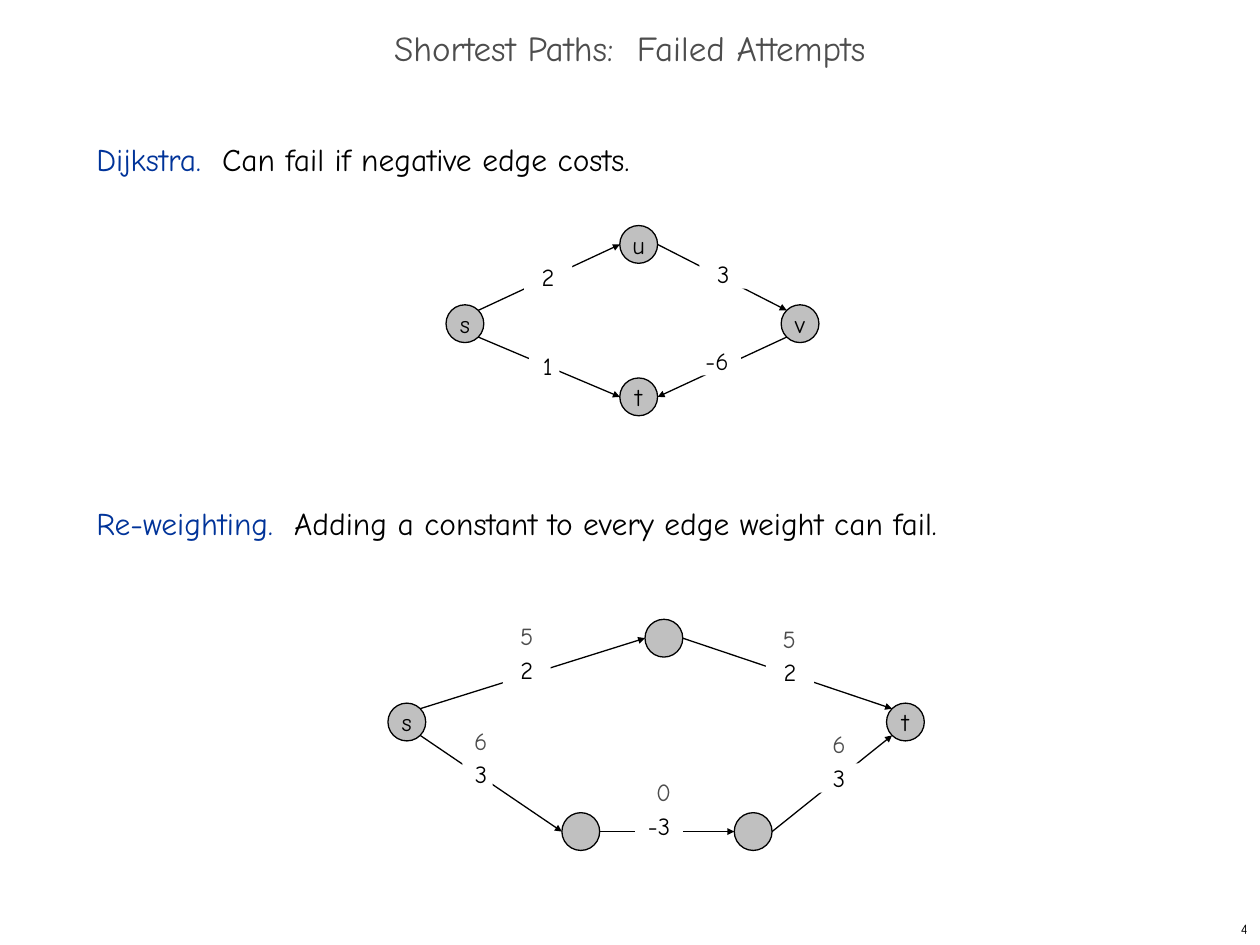
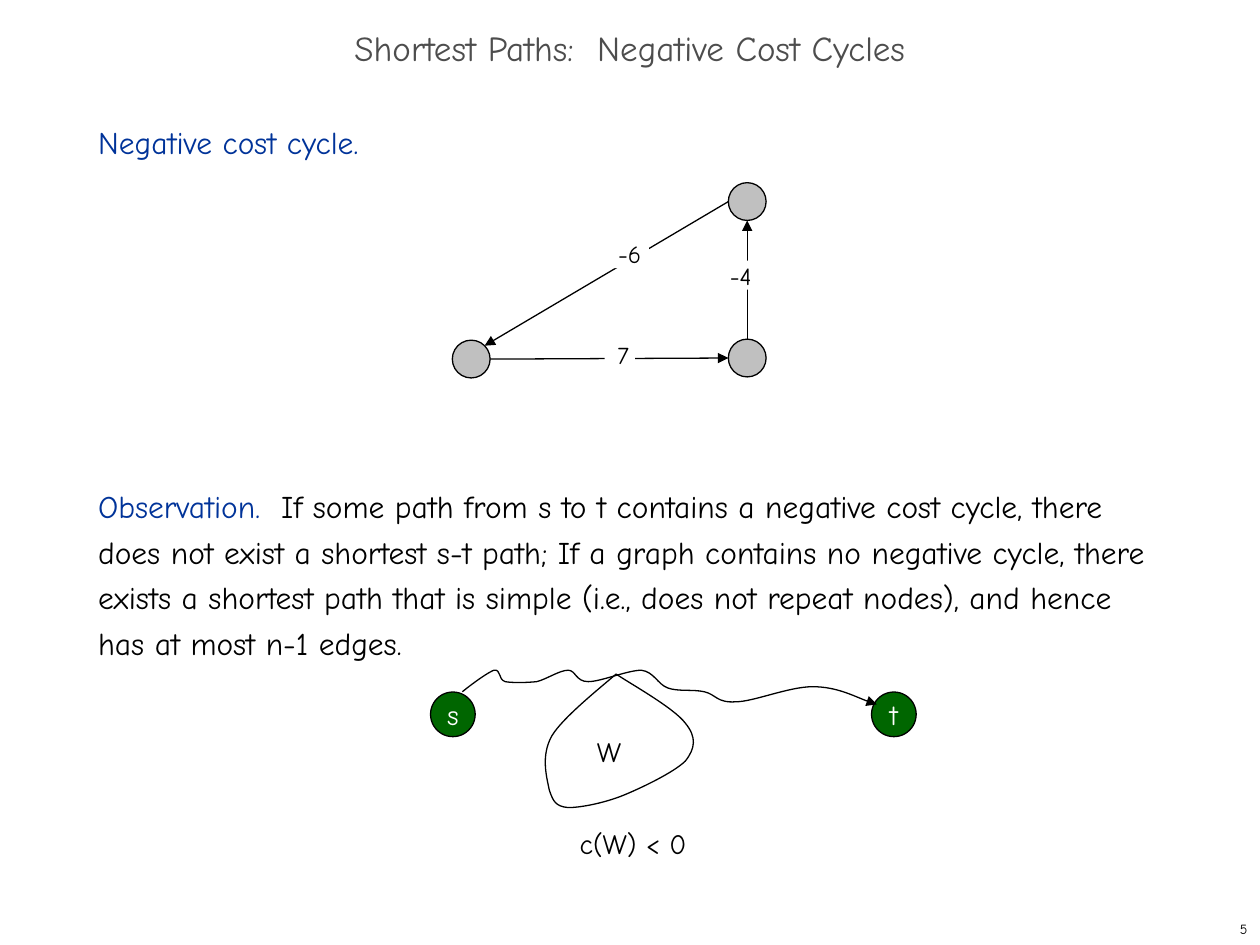
from dataclasses import dataclass
from math import cos, radians, sin

from lxml import etree
from pptx import Presentation
from pptx.dml.color import RGBColor
from pptx.enum.shapes import MSO_CONNECTOR, MSO_SHAPE
from pptx.enum.text import MSO_ANCHOR, PP_ALIGN
from pptx.oxml.ns import qn
from pptx.util import Pt

OVAL, RECT = MSO_SHAPE.OVAL, MSO_SHAPE.RECTANGLE
STRAIGHT = MSO_CONNECTOR.STRAIGHT
LEFT, CENTER, RIGHT = PP_ALIGN.LEFT, PP_ALIGN.CENTER, PP_ALIGN.RIGHT
TOP, MIDDLE = MSO_ANCHOR.TOP, MSO_ANCHOR.MIDDLE


@dataclass(frozen=True)
class Theme:
    font: str = "Comic Neue"
    ink: RGBColor = RGBColor(0, 0, 0)
    white: RGBColor = RGBColor(255, 255, 255)
    gray: RGBColor = RGBColor(0x4D, 0x4D, 0x4D)
    silver: RGBColor = RGBColor(0xC0, 0xC0, 0xC0)
    blue: RGBColor = RGBColor(0, 0x33, 0x99)
    green: RGBColor = RGBColor(0, 0x66, 0)
    title: float = 20
    body: float = 18
    note: float = 16
    label: float = 14
    page: float = 8
    line: float = 0.75
    lead: float = 26


THEME = Theme()
WIDE, HIGH = 720, 540
COMPASS = {"E": 0, "SE": 45, "S": 90, "SW": 135,
           "W": 180, "NW": 225, "N": 270, "NE": 315}


@dataclass(frozen=True)
class Node:
    x: float
    y: float
    text: str = ""
    size: float = 21.6
    fill: RGBColor = THEME.silver
    ink: RGBColor = THEME.ink
    type: float = THEME.label

    def port(self, side: str) -> tuple[float, float]:
        """Point on the rim in a compass direction."""
        turn = radians(COMPASS[side])
        return (self.x + self.size / 2 * cos(turn),
                self.y + self.size / 2 * sin(turn))


@dataclass(frozen=True)
class Edge:
    start: Node
    out: str
    end: Node
    into: str


@dataclass(frozen=True)
class Cost:
    """Edge cost on a white patch; nudge moves it off centre."""
    text: str
    x: float
    y: float
    width: float = 27.4
    nudge: float = 0


@dataclass(frozen=True)
class Note:
    text: str
    x: float
    y: float
    size: float = THEME.label
    ink: RGBColor = THEME.gray


@dataclass(frozen=True)
class Point:
    """Body statement with a blue lead-in."""
    head: str
    text: str
    top: float


def style(para, size: float, ink: RGBColor, align=CENTER) -> None:
    para.alignment = align
    para.font.name, para.font.size = THEME.font, Pt(size)
    para.font.color.rgb = ink


def box(slide, left: float, top: float, width: float, height: float,
        anchor=MIDDLE):
    frame = slide.shapes.add_textbox(
        Pt(left), Pt(top), Pt(width), Pt(height)).text_frame
    frame.word_wrap = True
    frame.vertical_anchor = anchor
    return frame.paragraphs[0]


def disc(slide, kind, x: float, y: float, width: float, height: float,
         fill: RGBColor):
    """Filled preset shape centred on a point."""
    shape = slide.shapes.add_shape(kind, Pt(x - width / 2), Pt(y - height / 2),
                                   Pt(width), Pt(height))
    shape.shadow.inherit = False
    shape.fill.solid()
    shape.fill.fore_color.rgb = fill
    shape.line.fill.background()
    frame = shape.text_frame
    frame.margin_left = frame.margin_right = 0
    frame.margin_top = frame.margin_bottom = 0
    frame.vertical_anchor = MIDDLE
    return shape


def stroke(shape) -> None:
    shape.line.color.rgb = THEME.ink
    shape.line.width = Pt(THEME.line)


def arrow(shape, size: str = "med") -> None:
    stroke(shape)
    etree.SubElement(shape.line._get_or_add_ln(), qn("a:tailEnd"),
                     type="triangle", w=size, len=size)


def draw_node(slide, node: Node) -> None:
    shape = disc(slide, OVAL, node.x, node.y, node.size, node.size, node.fill)
    stroke(shape)
    if node.text:
        shape.text_frame.word_wrap = False
        para = shape.text_frame.paragraphs[0]
        para.text = node.text
        style(para, node.type, node.ink)


def draw_edge(slide, edge: Edge, size: str) -> None:
    ends = (*edge.start.port(edge.out), *edge.end.port(edge.into))
    line = slide.shapes.add_connector(STRAIGHT, *map(Pt, ends))
    arrow(line, size)
    etree.SubElement(line._element.spPr, qn("a:effectLst"))


def draw_cost(slide, cost: Cost) -> None:
    shape = disc(slide, RECT, cost.x, cost.y, cost.width, 16.6, THEME.white)
    shape.text_frame.margin_left = Pt(cost.nudge)
    para = shape.text_frame.paragraphs[0]
    para.text = cost.text
    style(para, THEME.label, THEME.ink)


def draw_note(slide, note: Note) -> None:
    width, height = 100, 26
    para = box(slide, note.x - width / 2, note.y - height / 2, width, height)
    para.text = note.text
    style(para, note.size, note.ink)


def draw_point(slide, point: Point, left: float) -> None:
    para = box(slide, left, point.top, 618, 120, TOP)
    style(para, THEME.body, THEME.ink, LEFT)
    para.line_spacing = Pt(THEME.lead)
    for text, ink in ((point.head, THEME.blue), (point.text, THEME.ink)):
        if text:
            run = para.add_run()
            run.text = text
            run.font.color.rgb = ink


def draw_curve(slide, dots: list[tuple[float, float]]) -> None:
    """Arrow along Bézier pieces: a start, then three points for each piece."""
    first, *rest = [(Pt(x), Pt(y)) for x, y in dots]
    pen = slide.shapes.build_freeform(*first)
    pen.add_line_segments(rest, close=False)
    shape = pen.convert_to_shape()
    shape.shadow.inherit = False
    shape.fill.background()
    arrow(shape)
    track = shape._element.find(".//" + qn("a:path"))
    steps = track.findall(qn("a:lnTo"))
    for i in range(0, len(steps), 3):
        bend = etree.SubElement(track, qn("a:cubicBezTo"))
        for step in steps[i:i + 3]:
            bend.append(step[0])
            track.remove(step)


def draw_graph(slide, nodes: list[Node], edges: list[Edge],
               costs: list[Cost], size: str) -> None:
    for node in nodes:
        draw_node(slide, node)
    for edge in edges:
        draw_edge(slide, edge, size)
    for cost in costs:
        draw_cost(slide, cost)


def add_slide(deck, title: str, page: int):
    slide = deck.slides.add_slide(deck.slide_layouts[6])
    head = box(slide, 0, 12, WIDE, 36)
    head.text = title
    head.line_spacing = 0.7
    style(head, THEME.title, THEME.gray)
    foot = box(slide, 570, 522, 150, 18)
    foot.text = str(page)
    style(foot, THEME.page, THEME.ink, RIGHT)
    return slide


def failed(deck) -> None:
    slide = add_slide(deck, "Shortest Paths:  Failed Attempts", 4)
    top = 72
    for point in (
        Point("Dijkstra.  ", "Can fail if negative edge costs.", top),
        Point("Re-weighting.  ",
              "Adding a constant to every edge weight can fail.",
              top + 8 * THEME.lead),
    ):
        draw_point(slide, point, 48)

    s, v = Node(265.7, 185, "s"), Node(457.2, 185, "v")
    u, t = Node(365, 139.7, "u"), Node(365, 226.8, "t")
    draw_graph(
        slide, [u, t, s, v],
        [Edge(s, "NE", u, "W"), Edge(s, "SE", t, "W"),
         Edge(u, "E", v, "NW"), Edge(v, "SW", t, "E")],
        [Cost("2", 313.2, 158), Cost("1", 311, 209.2, 17.3, 4),
         Cost("3", 413.3, 156.6), Cost("-6", 409.7, 206.3)], "sm")

    s, t = Node(232.5, 412.6, "s"), Node(517.4, 412.6, "t")
    peak = Node(379.4, 364.7)
    low, next_low = Node(331.9, 475.2), Node(430.4, 475.2)
    draw_graph(
        slide, [s, t, peak, low, next_low],
        [Edge(s, "NE", peak, "W"), Edge(peak, "E", t, "NW"),
         Edge(s, "SE", low, "W"), Edge(low, "E", next_low, "W"),
         Edge(next_low, "E", t, "SW")],
        [Cost("2", 301, 382.7), Cost("2", 451.4, 384.1),
         Cost("3", 272.9, 442.4, 17.3, 4), Cost("-3", 376.6, 472),
         Cost("3", 479.5, 444.6)], "sm")
    for note in (Note("5", 301, 363.2), Note("5", 451.1, 364.7),
                 Note("6", 274.7, 423), Note("6", 479.5, 425.2),
                 Note("0", 379.2, 452.5)):
        draw_note(slide, note)


def cycles(deck) -> None:
    slide = add_slide(deck, "Shortest Paths:  Negative Cost Cycles", 5)
    top = 62.6
    for point in (
        Point("Negative cost cycle.", "", top),
        Point("Observation.  ",
              "If some path from s to t contains a negative cost cycle, there "
              "does not exist a shortest s-t path; If a graph contains no "
              "negative cycle, there exists a shortest path that is simple "
              "(i.e., does not repeat nodes), and hence has at most n-1 edges.",
              top + 8 * THEME.lead),
    ):
        draw_point(slide, point, 49)

    peak, right, left = Node(427, 115.2), Node(427, 204.6), Node(269.3, 205.2)
    draw_graph(
        slide, [peak, right, left],
        [Edge(right, "N", peak, "S"), Edge(left, "E", right, "W"),
         Edge(peak, "W", left, "NE")],
        [Cost("-6", 357.8, 145, 26, 4), Cost("7", 354.2, 202.7, 17.3, 4),
         Cost("-4", 421.2, 157.3, 27.4, 4)], "med")

    for text, x in (("s", 258.8), ("t", 510.8)):
        draw_node(slide, Node(x, 408.2, text, 25.5, THEME.green,
                              THEME.white, THEME.note))
    walk = [
        (264.2, 395.3),
        (271.4, 389.5), (278.6, 384.5), (282.2, 383),
        (286.6, 382.3), (284.4, 388.1), (288.7, 389.5),
        (292.3, 390.2), (300.2, 390.2), (306.7, 389.5),
        (312.5, 388.1), (319.7, 383), (324.7, 383),
        (329, 383), (329, 389.5), (336.2, 389.5),
        (343.4, 389.5), (358.6, 383), (366.5, 383),
        (373.7, 383.8), (375.8, 391), (381.6, 393.1),
        (387.4, 395.3), (396, 393.8), (402.5, 395.3),
        (409, 396.7), (409.7, 401.8), (420.5, 401),
        (430.6, 401), (450.7, 392.4), (464.4, 392.4),
        (478.1, 392.4), (493.2, 400.3), (501.1, 402.5)]
    loop = [
        (352.1, 385.2),
        (345.6, 391), (321.8, 409.7), (315.4, 420.5),
        (308.9, 432), (312.5, 444.2), (313.9, 451.4),
        (316.1, 457.9), (317.5, 460.8), (324.7, 461.5),
        (331.2, 461.5), (343.4, 459.4), (355, 455),
        (365.8, 450.7), (385.2, 441.4), (391.7, 434.9),
        (397.4, 427.7), (398.2, 421.2), (391.7, 413.3),
        (385.2, 404.6), (360.7, 391), (352.1, 385.2)]
    for dots in (walk, loop):
        draw_curve(slide, dots)
    for text, x, y in (("W", 348, 429.5), ("c(W) < 0", 361.8, 482)):
        draw_note(slide, Note(text, x, y, THEME.note, THEME.ink))


def main() -> None:
    deck = Presentation()
    deck.slide_width, deck.slide_height = Pt(WIDE), Pt(HIGH)
    failed(deck)
    cycles(deck)
    deck.save("out.pptx")


if __name__ == "__main__":
    main()
